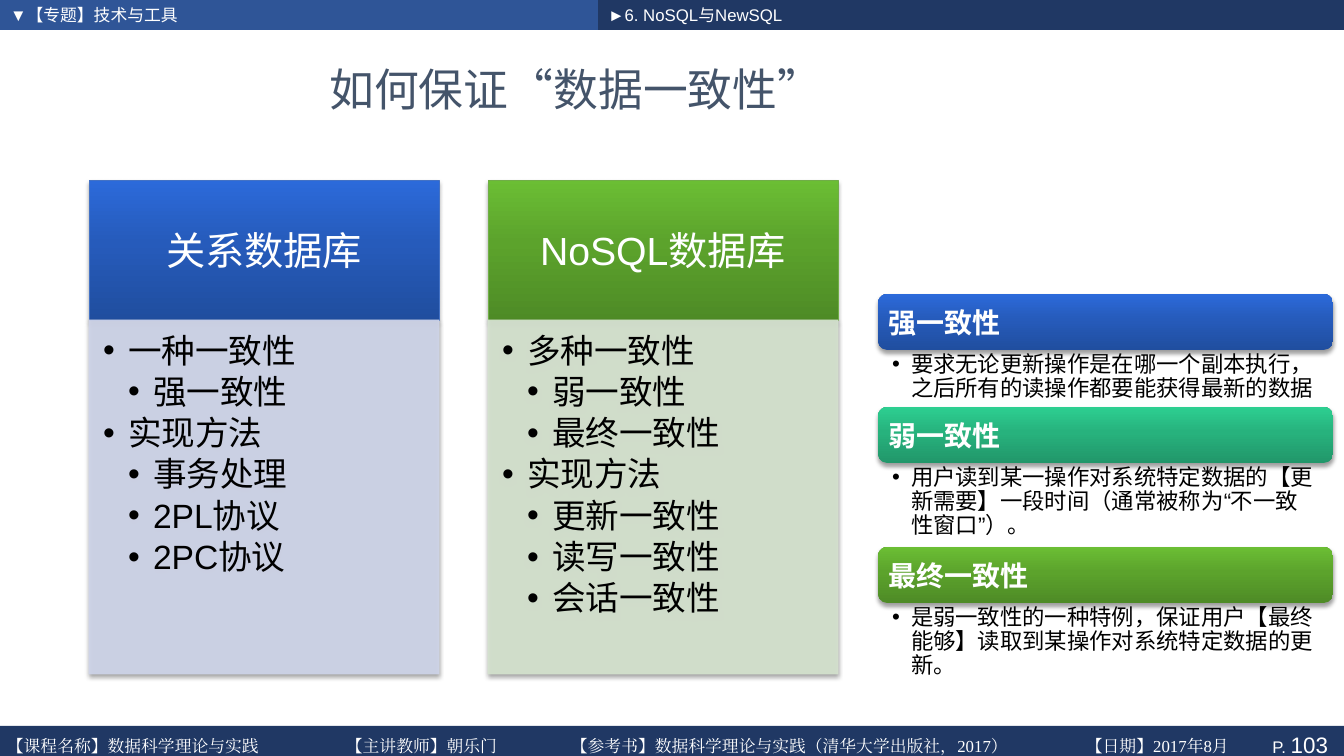
from lxml import etree
from pptx import Presentation
from pptx.dml.color import RGBColor
from pptx.enum.lang import MSO_LANGUAGE_ID
from pptx.enum.shapes import MSO_SHAPE
from pptx.enum.text import MSO_ANCHOR, MSO_AUTO_SIZE, PP_ALIGN
from pptx.oxml import parse_xml
from pptx.oxml.ns import qn
from pptx.util import Pt

PX = 9071
RECT, ROUND = MSO_SHAPE.RECTANGLE, MSO_SHAPE.ROUNDED_RECTANGLE
LEFT, MID, RIGHT = PP_ALIGN.LEFT, PP_ALIGN.CENTER, PP_ALIGN.RIGHT
TOP, CENTER = MSO_ANCHOR.TOP, MSO_ANCHOR.MIDDLE
FIXED = MSO_AUTO_SIZE.NONE
CHINESE = MSO_LANGUAGE_ID.SIMPLIFIED_CHINESE
NS = 'xmlns:a="http://schemas.openxmlformats.org/drawingml/2006/main"'
SANS, SERIF, HAN = "Arial", "Times New Roman", "Noto Sans CJK SC"

WHITE = RGBColor(0xFF, 0xFF, 0xFF)
BLACK = RGBColor(0x00, 0x00, 0x00)
SLATE = RGBColor(0x44, 0x54, 0x6A)
AZURE = RGBColor(0x2F, 0x55, 0x97)
NAVY = RGBColor(0x20, 0x38, 0x64)
BLUE = RGBColor(0x44, 0x72, 0xC4)
GREEN = RGBColor(0x70, 0xAD, 0x47)
LILAC = RGBColor(0xCF, 0xD5, 0xEA)
SAGE = RGBColor(0xD5, 0xE3, 0xCF)
BLUES = [RGBColor(0x20, 0x4E, 0x9F), RGBColor(0x26, 0x5B, 0xBB), RGBColor(0x2C, 0x6A, 0xDA)]
TEALS = [RGBColor(0x21, 0x97, 0x6A), RGBColor(0x27, 0xB2, 0x7D), RGBColor(0x2D, 0xCF, 0x91)]
GREENS = [RGBColor(0x4E, 0x8B, 0x26), RGBColor(0x5C, 0xA3, 0x2C), RGBColor(0x6B, 0xBE, 0x34)]

COLUMNS = [
    ("关系数据库", BLUES, BLUE, LILAC,
     [(1, "一种一致性"), (2, "强一致性"), (1, "实现方法"),
      (2, "事务处理"), (2, "2PL协议"), (2, "2PC协议")]),
    ("NoSQL数据库", GREENS, GREEN, SAGE,
     [(1, "多种一致性"), (2, "弱一致性"), (2, "最终一致性"), (1, "实现方法"),
      (2, "更新一致性"), (2, "读写一致性"), (2, "会话一致性")]),
]
CARDS = [
    ("强一致性", BLUES, 57, "要求无论更新操作是在哪一个副本执行，之后所有的读操作都要能获得最新的数据"),
    ("弱一致性", TEALS, 84, "用户读到某一操作对系统特定数据的【更新需要】一段时间（通常被称为“不一致性窗口”）。"),
    ("最终一致性", GREENS, 84, "是弱一致性的一种特例，保证用户【最终能够】读取到某操作对系统特定数据的更新。"),
]
CREDITS = ["【课程名称】数据科学理论与实践", "【主讲教师】朝乐门",
           "【参考书】数据科学理论与实践（清华大学出版社，2017）", "【日期】2017年8月"]
STOPS = [339, 564, 1079]


def style(run, size, color, font=SANS, bold=False):
    face = run.font
    face.size, face.bold, face.name = Pt(size), bold, font
    face.color.rgb = color
    face.language_id = CHINESE
    east = etree.SubElement(face._element, qn("a:ea"))
    east.set("typeface", font)


def write(par, text, size, color, font=SANS, bold=False, align=LEFT):
    par.text = text
    par.alignment = align
    for run in par.runs:
        style(run, size, color, font, bold)


def frame(shape, pad, anchor):
    body = shape.text_frame
    body.word_wrap, body.auto_size = True, FIXED
    body.vertical_anchor = anchor
    body.margin_left, body.margin_top, body.margin_right, body.margin_bottom = (
        n * PX for n in pad)
    return body


def place(shape, box):
    shape.left, shape.top, shape.width, shape.height = (n * PX for n in box)


def block(slide, box, color, kind=RECT):
    shape = slide.shapes.add_shape(kind, *(n * PX for n in box))
    shape.shadow.inherit = False
    shape.line.fill.background()
    shape.fill.solid()
    shape.fill.fore_color.rgb = color
    return shape


def shade(shape):
    effect = shape._element.spPr.find(qn("a:effectLst"))
    effect.append(parse_xml(
        f'<a:outerShdw {NS} blurRad="39400" dist="25400" dir="5400000" rotWithShape="0">'
        '<a:srgbClr val="000000"><a:alpha val="38000"/></a:srgbClr></a:outerShdw>'))


def blend(shape, tones):
    stops = "".join(f'<a:gs pos="{pos}"><a:srgbClr val="{tone}"/></a:gs>'
                    for pos, tone in zip((0, 55000, 100000), tones))
    props = shape._element.spPr
    props.replace(props.find(qn("a:solidFill")), parse_xml(
        f'<a:gradFill {NS} rotWithShape="1"><a:gsLst>{stops}</a:gsLst>'
        '<a:lin ang="16200000" scaled="0"/></a:gradFill>'))


def edge(shape, color):
    shape.line.color.rgb = color
    shape.line.width = Pt(0.5)


def fade(shape):
    for tone in shape._element.spPr.iter(qn("a:solidFill")):
        alpha = etree.SubElement(tone[0], qn("a:alpha"))
        alpha.set("val", "90000")


def bullet(par, indent, hang):
    props = par._p.get_or_add_pPr()
    props.set("marL", str(indent * PX))
    props.set("indent", str(-hang * PX))
    etree.SubElement(props, qn("a:buFont")).set("typeface", SANS)
    etree.SubElement(props, qn("a:buChar")).set("char", "•")


def listing(body, items, size, hang, after):
    for n, (level, text) in enumerate(items):
        par = body.add_paragraph() if n else body.paragraphs[0]
        write(par, text, size, BLACK)
        par.level = level
        par.line_spacing, par.space_after = 0.9, Pt(after)
        bullet(par, level * hang, hang)


def crumb(holder, box, text):
    place(holder, box)
    body = frame(holder, (10, 5, 10, 5), TOP)
    par = body.paragraphs[0]
    write(par, text, 12, WHITE)
    par.space_before = Pt(0)
    props = par._p.get_or_add_pPr()
    props.set("marL", "0")
    props.set("indent", "0")
    etree.SubElement(props, qn("a:buNone"))
    holder._element.getparent().append(holder._element)


def header(slide, box):
    x, y, w, h = box
    split = 598
    block(slide, (x, y, split, h), AZURE)
    block(slide, (x + split, y, w - split, h), NAVY)
    crumb(slide.placeholders[1], (x, y, 487, h), "▼【专题】技术与工具")
    crumb(slide.placeholders[2], (x + split, y, 240, h), "►6. NoSQL与NewSQL")


def title(slide, box):
    holder = slide.shapes.title
    place(holder, box)
    body = frame(holder, (10, 5, 10, 5), CENTER)
    write(body.paragraphs[0], "如何保证“数据一致性”", 32, SLATE, HAN, align=MID)


def footer(slide, box):
    x, y, w, h = box
    bar = block(slide, box, NAVY)
    par = frame(bar, (10, 5, 16, 5), CENTER).paragraphs[0]
    par.alignment = RIGHT
    for text, size in (("P. ", 12), ("103", 16)):
        run = par.add_run()
        run.text = text
        style(run, size, WHITE)
    note = slide.shapes.add_textbox(*(n * PX for n in (x - 3, y + 5, 1286, 28)))
    par = frame(note, (10, 5, 10, 5), TOP).paragraphs[0]
    write(par, "\t".join(CREDITS), 12, WHITE, SERIF)
    tabs = etree.SubElement(par._p.get_or_add_pPr(), qn("a:tabLst"))
    for stop in STOPS:
        tab = etree.SubElement(tabs, qn("a:tab"))
        tab.set("pos", str(stop * PX))
        tab.set("algn", "l")


def column(slide, box, name, tones, rim, tint, items):
    x, y, w, h = box
    top = 140
    head = block(slide, (x, y, w, top), tint)
    blend(head, tones)
    edge(head, rim)
    shade(head)
    body = frame(head, (22, 12, 22, 12), CENTER)
    write(body.paragraphs[0], name, 28, WHITE, align=MID)
    panel = block(slide, (x, y + top, w, h - top), tint)
    edge(panel, tint)
    fade(panel)
    shade(panel)
    listing(frame(panel, (14, 14, 19, 21), TOP), items, 24, 25, 3.6)


def cards(slide, box):
    x, y, w, h = box
    for name, tones, room, text in CARDS:
        head = block(slide, (x, y, w, h), tones[0], ROUND)
        blend(head, tones)
        shade(head)
        body = frame(head, (8, 8, 8, 8), CENTER)
        write(body.paragraphs[0], name, 20, WHITE, bold=True)
        note = slide.shapes.add_textbox(*(n * PX for n in (x, y + h, w, room)))
        listing(frame(note, (14, 3, 16, 3), TOP), [(1, text)], 16, 19, 3.2)
        y += h + room


def main():
    deck = Presentation()
    deck.slide_width, deck.slide_height = 1344 * PX, 756 * PX
    slide = deck.slides.add_slide(deck.slide_layouts[3])
    header(slide, (0, 0, 1344, 30))
    title(slide, (44, 43, 1064, 91))
    footer(slide, (0, 726, 1344, 37))
    for n, parts in enumerate(COLUMNS):
        column(slide, (89 + n * 399, 180, 350, 494), *parts)
    cards(slide, (878, 294, 455, 56))
    deck.save("out.pptx")


if __name__ == "__main__":
    main()
